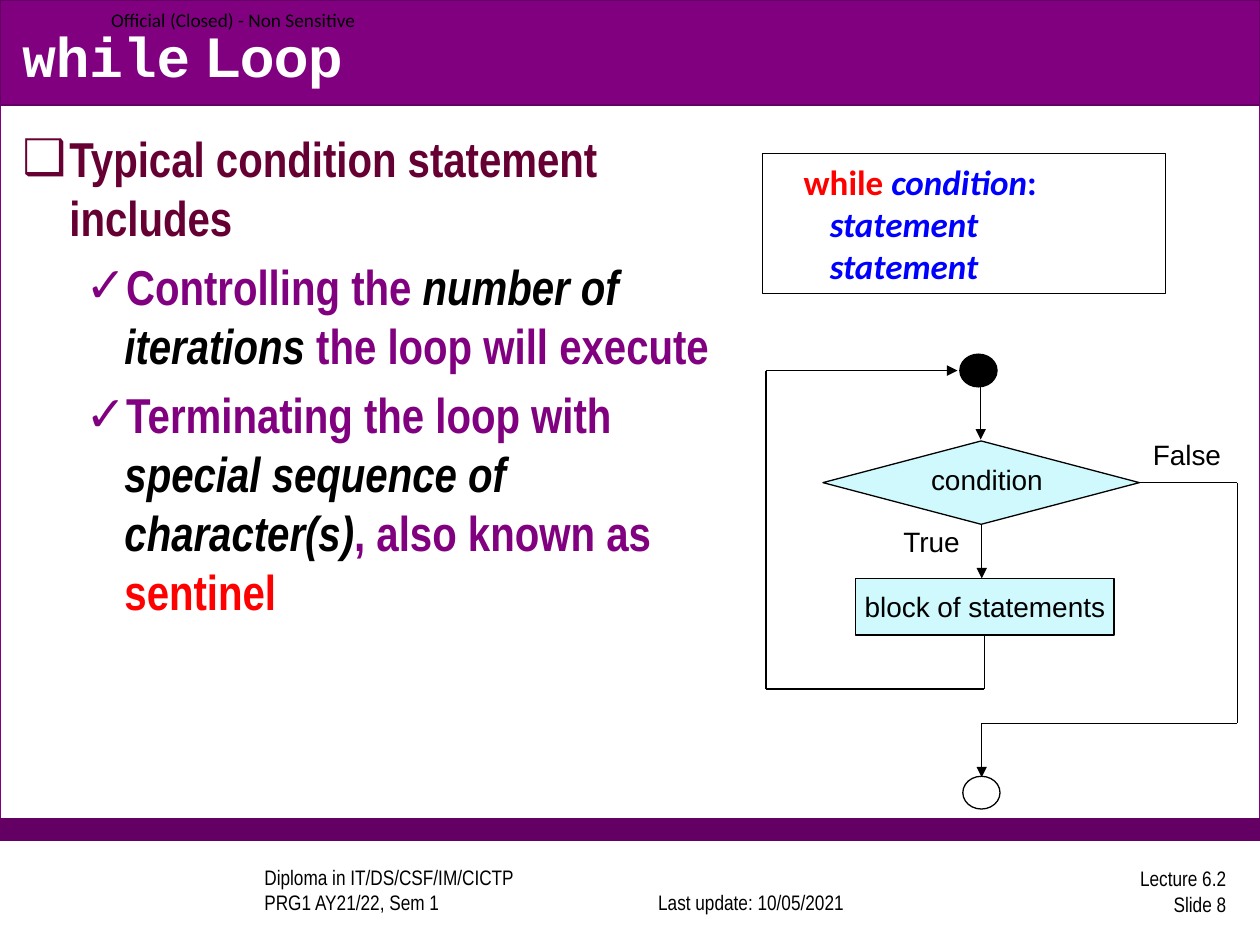
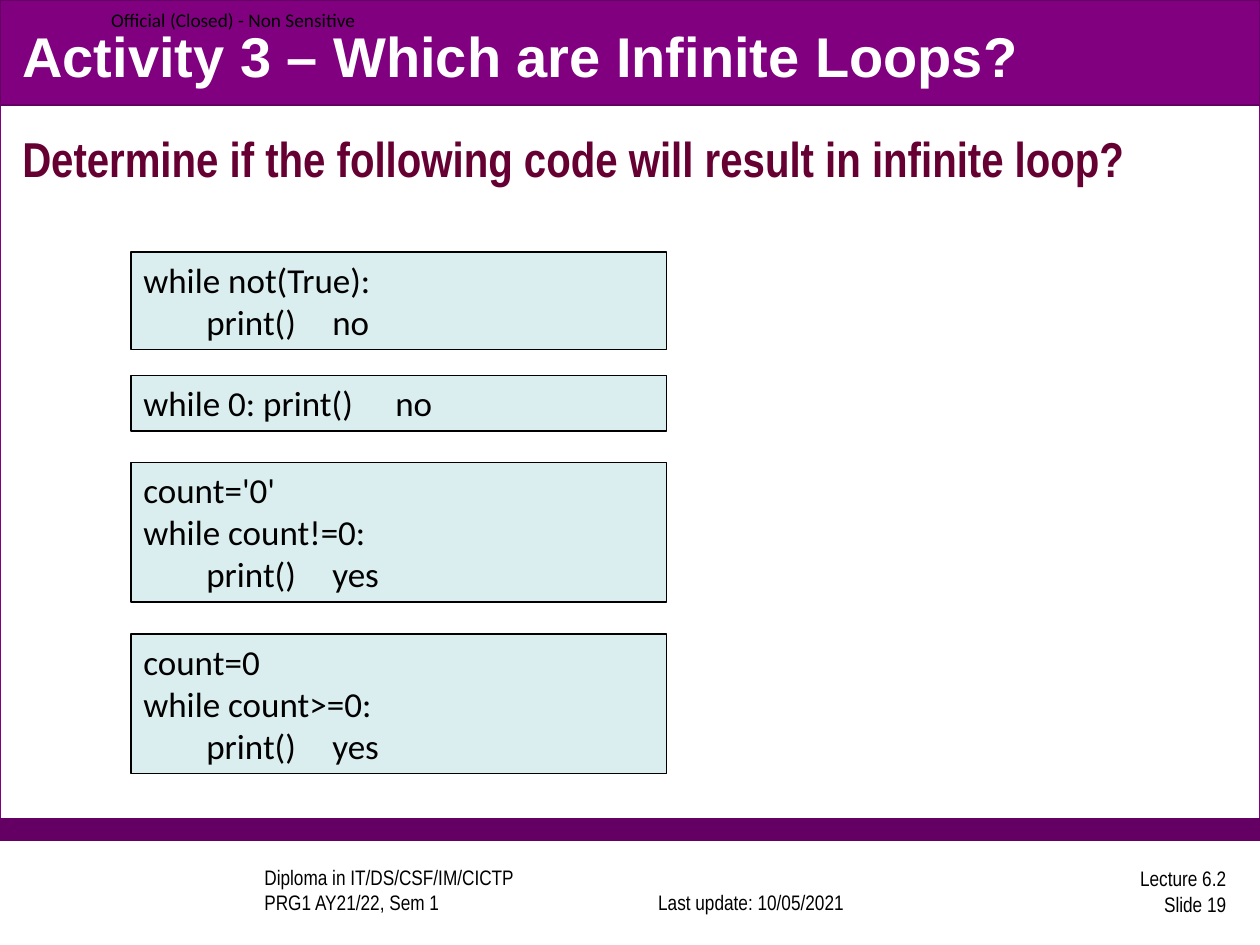
import collections
import dataclasses

import lxml.etree
import pptx
import pptx.dml.color
import pptx.enum.shapes
import pptx.enum.text
import pptx.oxml.ns
import pptx.util

Cm = pptx.util.Cm
qn = pptx.oxml.ns.qn
Shape = pptx.enum.shapes.MSO_SHAPE
Align = pptx.enum.text.PP_ALIGN
Anchor = pptx.enum.text.MSO_ANCHOR

Type = collections.namedtuple("Type", "font size color bold italic", defaults=(False, False))
Line = collections.namedtuple("Line", "spans left hanging bullet tabs", defaults=(0, 0, "", ()))


@dataclasses.dataclass(frozen=True)
class Theme:
    white: str = "FFFFFF"
    black: str = "000000"
    purple: str = "800080"
    dark_purple: str = "640064"
    flow_fill: str = "CFF9FD"
    code_fill: str = "DAEDEF"
    rule: float = 0.75
    inset: tuple = (0.25, 0.13, 0.25, 0.13)
    paragraph_gap: int = 6
    title: Type = Type("Arial", 32, "FFFFFF", True)
    title_code: Type = Type("Courier New", 32, "FFFFFF", True)
    heading: Type = Type("Arial Narrow", 28, "660033", True)
    point: Type = Type("Arial Narrow", 28, "800080", True)
    stress: Type = Type("Arial Narrow", 28, "000000", True, True)
    alert: Type = Type("Arial Narrow", 28, "FF0000", True)
    footer: Type = Type("Arial Narrow", 12, "000000")
    marking: Type = Type("Calibri", 11, "000000")
    flow: Type = Type("Arial", 16, "000000")
    code: Type = Type("Calibri", 20, "000000")
    keyword: Type = Type("Calibri", 20, "FF0000", True)
    colon: Type = Type("Calibri", 20, "0000FF", True)
    variable: Type = Type("Calibri", 20, "0000FF", True, True)


theme = Theme()


def add_box(page, area, fill=None, outline=None, kind=Shape.RECTANGLE):
    lengths = [Cm(length) for length in area]
    if fill is None:
        return page.shapes.add_textbox(*lengths)
    box = page.shapes.add_shape(kind, *lengths)
    box.shadow.inherit = False
    box.fill.solid()
    box.fill.fore_color.rgb = pptx.dml.color.RGBColor.from_string(fill)
    box.line.color.rgb = pptx.dml.color.RGBColor.from_string(outline or theme.black)
    box.line.width = pptx.util.Pt(theme.rule)
    return box


def write(box, lines, anchor=Anchor.TOP, align=Align.LEFT, inset=theme.inset, gap=0):
    frame = box.text_frame
    frame.word_wrap = True
    frame.vertical_anchor = anchor
    frame.margin_left, frame.margin_top, frame.margin_right, frame.margin_bottom = map(Cm, inset)
    for number, line in enumerate(lines):
        para = frame.add_paragraph() if number else frame.paragraphs[0]
        para.alignment = align
        para.space_before = pptx.util.Pt(gap if number else 0)
        para.text = line.spans[0][0]
        for text, look in line.spans[1:]:
            para.add_run().text = text
        for span, (text, look) in zip(para.runs, line.spans):
            span.font.name = look.font
            span.font.size = pptx.util.Pt(look.size)
            span.font.bold = look.bold
            span.font.italic = look.italic
            span.font.color.rgb = pptx.dml.color.RGBColor.from_string(look.color)
        properties = para._p.get_or_add_pPr()
        properties.set("marL", str(Cm(line.left)))
        properties.set("indent", str(Cm(-line.hanging)))
        if line.bullet:
            lxml.etree.SubElement(properties, qn("a:buFont"), typeface="Arial")
            lxml.etree.SubElement(properties, qn("a:buChar"), char=line.bullet)
        if line.tabs:
            stops = lxml.etree.SubElement(properties, qn("a:tabLst"))
            for stop in line.tabs:
                lxml.etree.SubElement(stops, qn("a:tab"), pos=str(Cm(stop)), algn="l")


deck = pptx.Presentation()
deck.slide_width, deck.slide_height = Cm(25.4), Cm(19.05)

slides = [
    (8, [("while", theme.title_code), (" Loop", theme.title)]),
    (19, [("Activity 3 – Which are Infinite Loops?", theme.title)]),
]
bands = [
    ((0, 0, 25.4, 16.93), theme.white, theme.purple),
    ((0, 16.51, 25.4, 0.43), theme.dark_purple, theme.dark_purple),
    ((0, 0, 25.4, 2.12), theme.purple, theme.dark_purple),
]
pages = []
for slide_number, title in slides:
    page = deck.slides.add_slide(deck.slide_layouts[6])
    pages.append(page)
    for area, fill, outline in bands:
        add_box(page, area, fill, outline)
    footers = [
        ((3.81, 17.5, 8.05, 1.07), ["Diploma in IT/DS/CSF/IM/CICTP", "PRG1 AY21/22, Sem 1"],
         1.27, Anchor.BOTTOM, Align.LEFT),
        ((12.5, 17.5, 5.28, 1.07), ["Last update: 10/05/2021"], 0, Anchor.BOTTOM, Align.CENTER),
        ((19.69, 17.43, 5.28, 1.07), ["Lecture 6.2", f"Slide {slide_number}"],
         0, Anchor.MIDDLE, Align.RIGHT),
    ]
    for area, texts, left, anchor, align in footers:
        lines = [Line([(text, theme.footer)], left) for text in texts]
        write(add_box(page, area), lines, anchor, align)
    marking = Line([("Official (Closed) - Non Sensitive", theme.marking)], 2.24)
    write(add_box(page, (0, 0, 7.65, 0.79)), [marking], Anchor.MIDDLE, inset=(0, 0, 0, 0))
    write(add_box(page, (0.2, 0.33, 24.97, 1.57)), [Line(title)], Anchor.MIDDLE)

loop_page, activity_page = pages

points = [
    Line([("Typical condition statement includes", theme.heading)], 0.95, 0.95, "❑"),
    Line([("Controlling the ", theme.point), ("number of iterations", theme.stress),
          (" the loop will execute", theme.point)], 2.06, 0.79, "✓"),
    Line([("Terminating the loop with ", theme.point),
          ("special sequence of character(s)", theme.stress),
          (", also known as ", theme.point), ("sentinel", theme.alert)], 2.06, 0.79, "✓"),
]
write(add_box(loop_page, (0.2, 2.46, 14.38, 13.84)), points, gap=theme.paragraph_gap)

routes = [
    ([(19.77, 7.77), (19.77, 8.86)], True),
    ([(19.79, 10.54), (19.79, 11.66)], True),
    ([(19.84, 12.8), (19.84, 13.89), (15.44, 13.89), (15.44, 7.47), (19.3, 7.47)], True),
    ([(22.91, 9.73), (24.94, 9.73), (24.94, 14.58), (19.79, 14.58), (19.79, 15.67)], True),
]
for route, has_arrow in routes:
    for start, end in zip(route, route[1:]):
        connector = loop_page.shapes.add_connector(
            pptx.enum.shapes.MSO_CONNECTOR.STRAIGHT, *map(Cm, start + end))
        connector.line.color.rgb = pptx.dml.color.RGBColor.from_string(theme.black)
        connector.line.width = pptx.util.Pt(theme.rule)
        if has_arrow and end == route[-1]:
            lxml.etree.SubElement(connector.line._get_or_add_ln(), qn("a:tailEnd"), type="triangle")
        lxml.etree.SubElement(connector._element.spPr, qn("a:effectLst"))

flow_shapes = [
    ((19.35, 7.14, 0.75, 0.66), theme.black, Shape.FLOWCHART_CONNECTOR, ""),
    ((19.41, 15.65, 0.75, 0.66), theme.white, Shape.FLOWCHART_CONNECTOR, ""),
    ((16.59, 8.89, 6.38, 1.68), theme.flow_fill, Shape.FLOWCHART_DECISION, ""),
    ((17.25, 11.66, 5.21, 1.14), theme.flow_fill, Shape.FLOWCHART_PROCESS, "block of statements"),
]
for area, fill, kind, text in flow_shapes:
    box = add_box(loop_page, area, fill, kind=kind)
    if text:
        write(box, [Line([(text, theme.flow)])], Anchor.MIDDLE, Align.CENTER, (0, 0.13, 0, 0.13))

flow_labels = [
    ("False", (22.99, 8.69, 1.9, 1.02)),
    ("True", (17.96, 10.44, 1.83, 0.94)),
    ("condition", (18.52, 9.19, 3.07, 1.47)),
]
for text, area in flow_labels:
    write(add_box(loop_page, area), [Line([(text, theme.flow)])], inset=(0.25, 0.13, 0, 0))

syntax = [Line([("while ", theme.keyword), ("condition", theme.variable), (":", theme.colon)], 0.58)]
syntax += [Line([("statement", theme.variable)], 1.11)] * 2
write(add_box(loop_page, (15.37, 3.1, 8.13, 2.82), theme.white), syntax)

question = Line([("Determine if the following code will result in infinite loop?", theme.heading)])
write(add_box(activity_page, (0.2, 2.46, 24.97, 13.84)), [question])

code_boxes = [
    (5.08, 7.9, ["while not(True):", "\tprint()\tno"]),
    (7.57, 7.9, ["while 0: print()\tno"]),
    (9.32, 7.9, ["count='0'", "while count!=0:", "\tprint()\tyes"]),
    (12.78, 7.58, ["count=0", "while count>=0:", "\tprint()\tyes"]),
]
for top, answer_stop, texts in code_boxes:
    area = (2.64, top, 10.8, 0.27 + 0.85 * len(texts))
    lines = []
    for text in texts:
        stops = (1.47, answer_stop) if text.startswith("\t") else (answer_stop,)
        lines.append(Line([(text, theme.code)], tabs=stops))
    write(add_box(activity_page, area, theme.code_fill), lines)

deck.save("out.pptx")
